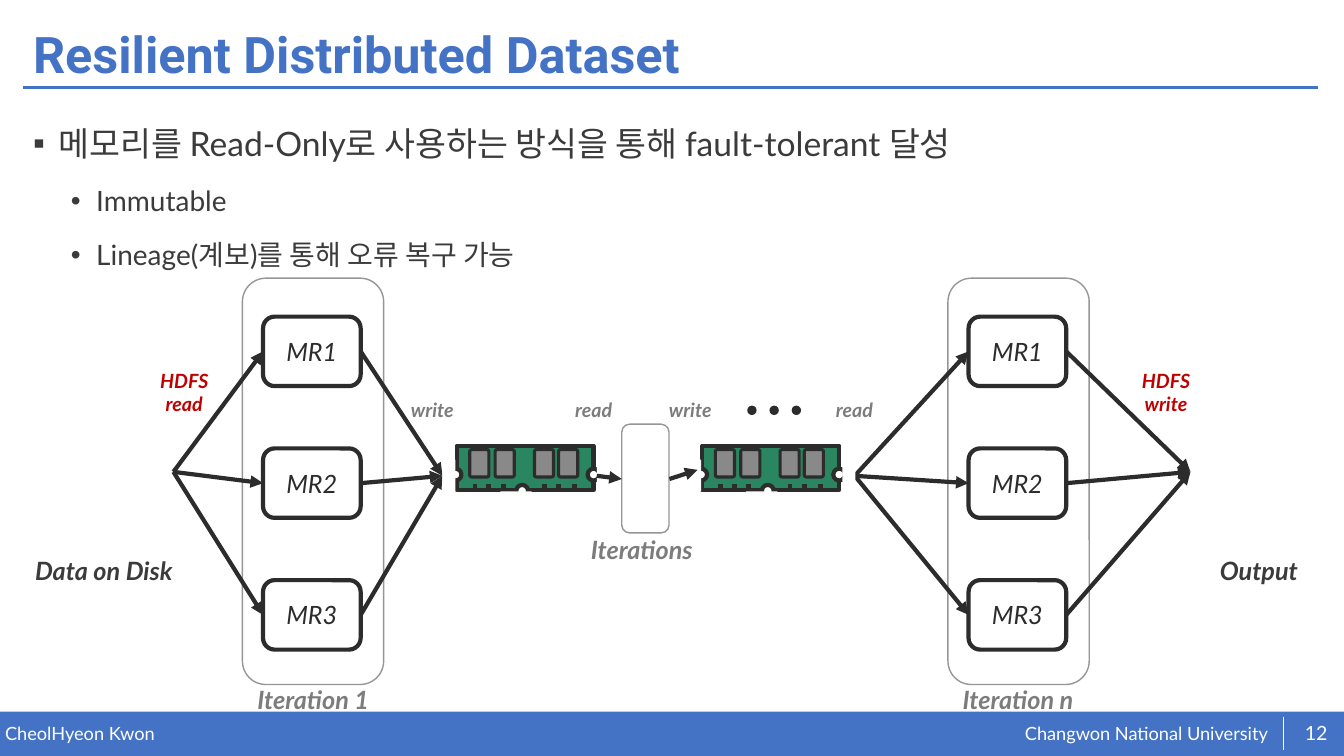
"""Build a slide on how resilient distributed datasets pass data through memory."""
import pptx
import pptx.dml.color
import pptx.enum.shapes
import pptx.enum.text
import pptx.oxml
import pptx.oxml.ns
import pptx.util

Cm = pptx.util.Cm
Pt = pptx.util.Pt
RGBColor = pptx.dml.color.RGBColor
Kind = pptx.enum.shapes.MSO_SHAPE
Align = pptx.enum.text.PP_ALIGN
Anchor = pptx.enum.text.MSO_ANCHOR

BLUE = RGBColor(0x44, 0x72, 0xC4)
WHITE = RGBColor(0xFF, 0xFF, 0xFF)
TEXT = RGBColor(0x3B, 0x3B, 0x3B)
DARK = RGBColor(0x2C, 0x2C, 0x2C)
EDGE = RGBColor(0x96, 0x96, 0x96)
GRAY = RGBColor(0x7C, 0x7C, 0x7C)
RED = RGBColor(0xC0, 0x00, 0x00)
GREEN = RGBColor(0x2A, 0x86, 0x61)
CHIP = RGBColor(0x89, 0x89, 0x89)

STEP_W, STEP_H = 2.46, 1.75
STEP_TOPS = [7.98 + 3.32 * row for row in range(3)]


def style(para, size, color, face="Lato", bold=False, slant=False):
    """Set the font of a paragraph."""
    font = para.font
    font.name, font.size, font.color.rgb = face, Pt(size), color
    font.bold, font.italic = bold, slant


def place(shape, left, top, width, height):
    """Move and size a shape."""
    shape.left, shape.top = Cm(left), Cm(top)
    shape.width, shape.height = Cm(width), Cm(height)


def draw(shapes, kind, box, fill=None, edge=None, weight=1.0):
    """Add a preset shape with its own fill and outline."""
    shape = shapes.add_shape(kind, *map(Cm, box))
    shape.shadow.inherit = False
    if fill is None:
        shape.fill.background()
    else:
        shape.fill.solid()
        shape.fill.fore_color.rgb = fill
    if edge is None:
        shape.line.fill.background()
    else:
        shape.line.color.rgb = edge
        shape.line.width = Pt(weight)
    return shape


def link(shapes, start, end, color=DARK, weight=3.0, arrow=False):
    """Add a straight line, with an arrowhead at its end if asked."""
    line = shapes.add_connector(
        pptx.enum.shapes.MSO_CONNECTOR.STRAIGHT, *map(Cm, start + end))
    line.line.color.rgb = color
    line.line.width = Pt(weight)
    props = line.element.spPr
    if arrow:
        tail = pptx.oxml.ns.qn("a:tailEnd")
        edge = props.find(pptx.oxml.ns.qn("a:ln"))
        edge.makeelement(tail, {})
        edge.append(edge.makeelement(tail, {"type": "triangle"}))
    props.append(props.makeelement(pptx.oxml.ns.qn("a:effectLst"), {}))


def label(shapes, text, box, size, color, bold=True, align=Align.CENTER, inset=True):
    """Add a text box; bold labels also slant."""
    frame = shapes.add_textbox(*map(Cm, box)).text_frame
    frame.word_wrap = True
    if not inset:
        frame.margin_left = frame.margin_right = 0
        frame.margin_top = frame.margin_bottom = 0
    frame.text = text
    for para in frame.paragraphs:
        para.alignment = align
        style(para, size, color, bold=bold, slant=bold)
    return frame


def head(slide):
    """Fill the title and draw the rule below it."""
    title = slide.shapes.title
    place(title, 0.58, 0.46, 32.66, 1.96)
    frame = title.text_frame
    frame.text = "Resilient Distributed Dataset"
    frame.vertical_anchor = Anchor.MIDDLE
    para = frame.paragraphs[0]
    para.alignment = Align.LEFT
    para.line_spacing = 0.9
    style(para, 36, BLUE, face="Roboto", bold=True)
    link(slide.shapes, (0.58, 2.21), (33.22, 2.21), BLUE, 2)


def points(slide):
    """Fill the body with its bullet list."""
    body = slide.placeholders[1]
    place(body, 0.58, 2.57, 32.66, 14.3)
    frame = body.text_frame
    frame.auto_size = pptx.enum.text.MSO_AUTO_SIZE.NONE
    rows = [
        ("메모리를 Read-Only로 사용하는 방식을 통해 fault-tolerant 달성", 0, "▪", 0.64, 24),
        ("Immutable", 1, "•", 1.59, 20),
        ("Lineage(계보)를 통해 오류 복구 가능", 1, "•", 1.59, 20),
    ]
    frame.text = "\n".join(row[0] for row in rows)
    for para, (_, level, mark, indent, size) in zip(frame.paragraphs, rows):
        para.level = level
        props = para._p.get_or_add_pPr()
        props.set("marL", str(Cm(indent)))
        props.set("indent", str(Cm(-0.64)))
        props.append(props.makeelement(pptx.oxml.ns.qn("a:buChar"), {"char": mark}))
        para.line_spacing = 1.4
        para.space_before = Pt(5 * level)
        style(para, size, TEXT)


def foot(shapes):
    """Draw the footer bar with its texts."""
    draw(shapes, Kind.RECTANGLE, (0, 17.93, 33.87, 1.12), BLUE)
    link(shapes, (32.33, 18.06), (32.33, 18.9), WHITE, 0.5)
    for text, left, width in [("CheolHyeon Kwon", 0.13, 16.64),
                              ("Changwon National University", 25.83, 6.78)]:
        label(shapes, text, (left, 18.2, width, 0.57), 13, WHITE, False, Align.LEFT, False)
    page = label(shapes, "12", (32.56, 17.96, 1.22, 1.02), 14, WHITE, False, inset=False)
    page.vertical_anchor = Anchor.MIDDLE


def stage(shapes, left, source, target):
    """Draw the three steps of an iteration, with arrows in and out."""
    draw(shapes, Kind.ROUNDED_RECTANGLE, (left - 0.52, 7.01, 3.56, 10.24), edge=EDGE)
    for count, top in enumerate(STEP_TOPS, 1):
        step = draw(shapes, Kind.ROUNDED_RECTANGLE, (left, top, STEP_W, STEP_H),
                    edge=DARK, weight=3)
        frame = step.text_frame
        frame.text = f"MR{count}"
        frame.vertical_anchor = Anchor.MIDDLE
        frame.paragraphs[0].alignment = Align.CENTER
        style(frame.paragraphs[0], 18, DARK, slant=True)
        middle = top + STEP_H / 2
        link(shapes, source, (left, middle), arrow=True)
        link(shapes, (left + STEP_W, middle), target, arrow=True)


def memory(slide, left):
    """Draw a memory board with notches, chips and pins."""
    shapes = slide.shapes.add_group_shape().shapes
    draw(shapes, Kind.RECTANGLE, (left, 11.23, 3.45, 1.12), GREEN, DARK, 3)
    for shift, top in [(3.3, 11.81), (-0.18, 11.81), (1.5, 12.22)]:
        draw(shapes, Kind.OVAL, (left + shift, top, 0.3, 0.3), WHITE, DARK, 3)
    for shift, top, width, height in [(3.53, 11.58, 0.33, 0.79), (-0.36, 11.58, 0.33, 0.79),
                                      (1.1, 12.38, 0.79, 0.46)]:
        draw(shapes, Kind.RECTANGLE, (left + shift, top, width, height), WHITE)
    for shift in (0.33, 0.97, 1.96, 2.57):
        chip = draw(shapes, Kind.ROUNDED_RECTANGLE, (left + shift, 11.33, 0.48, 0.69),
                    CHIP, DARK, 2.25)
        chip.adjustments[0] = 0.1
    for shift in (0.46, 0.81, 1.17, 2.21, 2.57, 2.97):
        link(shapes, (left + shift, 12.19), (left + shift, 12.32), weight=3.5)


def main():
    """Build and save the slide."""
    deck = pptx.Presentation()
    deck.slide_width, deck.slide_height = Cm(33.87), Cm(19.05)
    slide = deck.slides.add_slide(deck.slide_layouts[1])
    shapes = slide.shapes
    foot(shapes)
    head(slide)
    points(slide)

    stage(shapes, 6.63, (4.37, 11.89), (11.15, 11.99))
    stage(shapes, 24.41, (21.54, 11.99), (30, 11.89))
    for left in (11.51, 17.7):
        memory(slide, left)
    draw(shapes, Kind.ROUNDED_RECTANGLE, (15.67, 10.69, 1.19, 2.74), edge=EDGE)
    link(shapes, (15.04, 11.99), (15.67, 12.07), arrow=True)
    link(shapes, (16.87, 12.07), (17.58, 11.84), arrow=True)
    for spot in range(3):
        draw(shapes, Kind.OVAL, (18.85 + 0.56 * spot, 10.24, 0.2, 0.2), DARK, DARK)

    for text, left, top, width, color in [
        ("Data on Disk", 0.38, 13.87, 4.47, TEXT),
        ("Output", 29.97, 13.87, 3.51, TEXT),
        ("Iteration 1", 5.66, 17.12, 4.47, GRAY),
        ("Iteration n", 23.42, 17.12, 4.47, GRAY),
        ("Iterations", 13.94, 13.34, 4.47, GRAY),
    ]:
        label(shapes, text, (left, top, width, 1.02), 18, color)
    for text, left in [("HDFS\nread", 3.68), ("HDFS\nwrite", 28.42)]:
        label(shapes, text, (left, 9.17, 1.93, 1.45), 14, RED)
    for text, left in [("write", 9.93), ("read", 14), ("write", 16.43), ("read", 20.57)]:
        label(shapes, text, (left, 9.91, 1.93, 0.86), 14, GRAY)
    deck.save("out.pptx")


if __name__ == "__main__":
    main()
